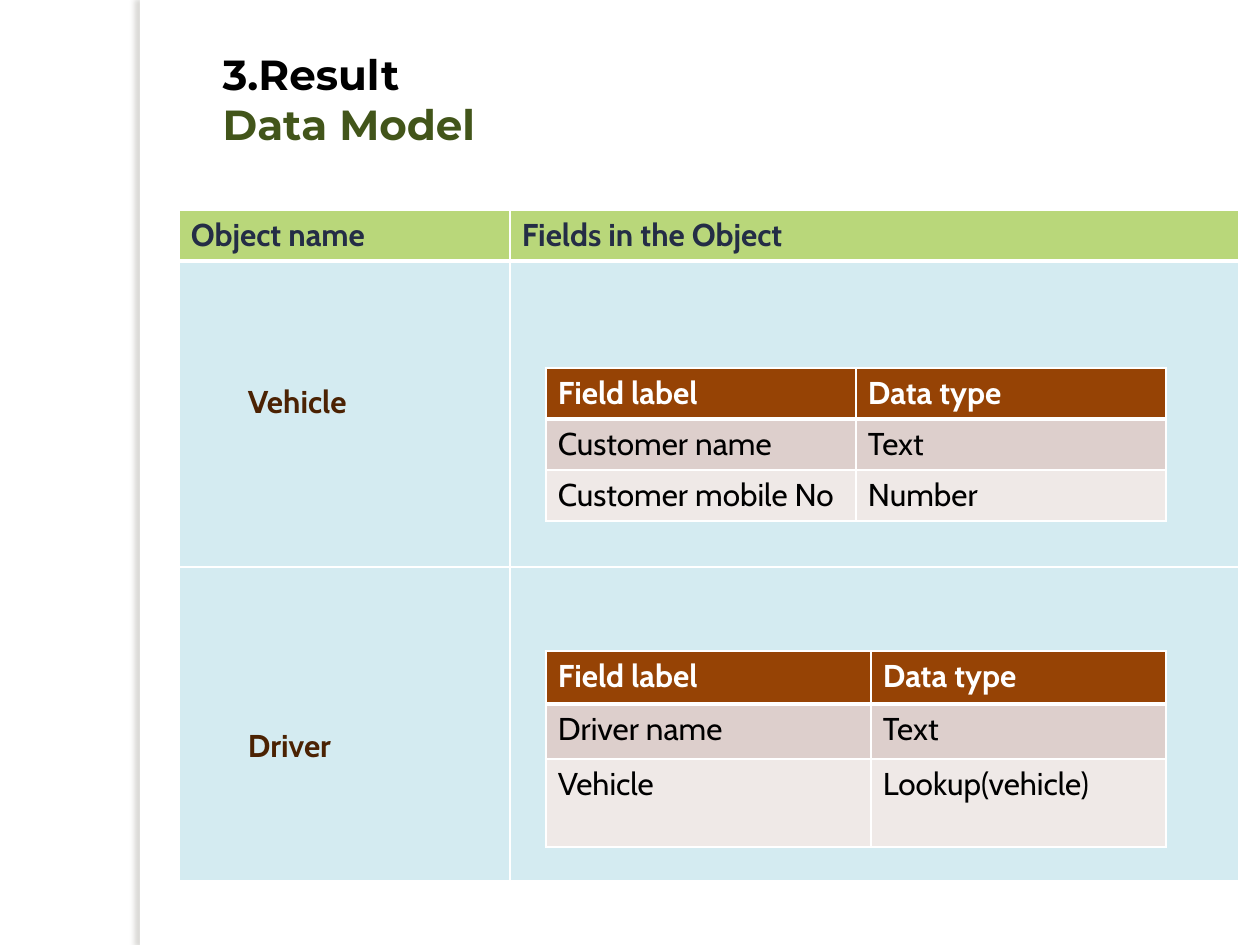
from dataclasses import dataclass

from lxml import etree
from pptx import Presentation
from pptx import util as u
from pptx.dml.color import RGBColor
from pptx.enum import shapes, text
from pptx.oxml import ns

PX = 914400 / 126
WHITE = RGBColor(0xFF, 0xFF, 0xFF)
BLACK = RGBColor(0, 0, 0)
GREEN = RGBColor(0xB9, 0xD7, 0x7A)
DARK_GREEN = RGBColor(0x42, 0x55, 0x1A)
NAVY = RGBColor(0x24, 0x2D, 0x46)
PALE_BLUE = RGBColor(0xD4, 0xEB, 0xF1)
DARK_BROWN = RGBColor(0x4B, 0x22, 0x03)
BROWN = RGBColor(0x96, 0x43, 0x05)
ROSE = RGBColor(0xDD, 0xCF, 0xCC)
PALE_ROSE = RGBColor(0xEF, 0xE9, 0xE7)
SHADOW = RGBColor(0x73, 0x6F, 0x63)


@dataclass
class Row:
    height: int
    cells: tuple[str, str]
    fill: RGBColor
    color: RGBColor
    bold: bool = False
    left: int = 12
    top: int = 6


@dataclass
class Grid:
    left: int
    top: int
    widths: tuple[int, int]
    rows: list[Row]


def px(value: int) -> u.Emu:
    return u.Emu(round(value * PX))


def write(para, words: str, *, font: str, size: int, color: RGBColor, bold: bool = False) -> None:
    span = para.add_run()
    span.text = words
    span.font.name = font
    span.font.size = u.Pt(size)
    span.font.bold = bold
    span.font.color.rgb = color


def add_borders(cell, top: int, bottom: int) -> None:
    properties = cell._tc.get_or_add_tcPr()
    sides = {"lnL": 1, "lnR": 1, "lnT": top, "lnB": bottom}
    for index, (side, points) in enumerate(sides.items()):
        line = etree.Element(ns.qn(f"a:{side}"), w=str(u.Pt(points)))
        fill = etree.SubElement(line, ns.qn("a:solidFill"))
        etree.SubElement(fill, ns.qn("a:srgbClr"), val=str(WHITE))
        properties.insert(index, line)


def add_grid(page, grid: Grid) -> None:
    height = sum(row.height for row in grid.rows)
    table = page.shapes.add_table(
        len(grid.rows), len(grid.widths), px(grid.left), px(grid.top), px(sum(grid.widths)), px(height)
    ).table
    table.horz_banding = False
    for column, width in zip(table.columns, grid.widths):
        column.width = px(width)
    for index, row in enumerate(grid.rows):
        table.rows[index].height = px(row.height)
        for cell, words in zip(table.rows[index].cells, row.cells):
            cell.fill.solid()
            cell.fill.fore_color.rgb = row.fill
            add_borders(cell, 3 if index == 1 else 1, 3 if index == 0 else 1)
            if words:
                cell.margin_left, cell.margin_top = px(row.left), px(row.top)
                write(cell.text_frame.paragraphs[0], words, font="Cabin", size=18,
                      color=row.color, bold=row.bold)


def add_side_bar(page) -> None:
    bar = page.shapes.add_shape(shapes.MSO_SHAPE.RECTANGLE, px(140), 0, px(10), px(945))
    bar.fill.solid()
    bar.fill.fore_color.rgb = WHITE
    bar.line.fill.background()
    bar.shadow.inherit = False
    effects = bar._element.spPr.find(ns.qn("a:effectLst"))
    shadow = etree.SubElement(effects, ns.qn("a:outerShdw"), blurRad=str(u.Pt(3)),
                              dist=str(u.Pt(3)), dir="10800000", algn="ctr", rotWithShape="0")
    color = etree.SubElement(shadow, ns.qn("a:srgbClr"), val=str(SHADOW))
    etree.SubElement(color, ns.qn("a:alpha"), val="25000")


def add_title(page) -> None:
    title = page.shapes.title
    title.left, title.top, title.width, title.height = px(210), px(42), px(882), px(115)
    box = title.text_frame
    box.word_wrap = True
    box.auto_size = text.MSO_AUTO_SIZE.SHAPE_TO_FIT_TEXT
    box.vertical_anchor = text.MSO_ANCHOR.TOP
    for index, (words, color) in enumerate([("3.Result", BLACK), ("Data Model", DARK_GREEN)]):
        para = box.add_paragraph() if index else box.paragraphs[0]
        para.alignment = text.PP_ALIGN.LEFT
        write(para, words, font="Montserrat", size=24, color=color, bold=True)


def field_grid(top: int, widths: tuple[int, int], heights: tuple[int, int, int],
               fields: list[tuple[str, str]]) -> Grid:
    header = Row(heights[0], ("Field label", "Data type"), BROWN, WHITE, bold=True)
    body = [Row(height, field, fill, BLACK)
            for height, field, fill in zip(heights[1:], fields, (ROSE, PALE_ROSE))]
    return Grid(546, top, widths, [header, *body])


def main() -> None:
    deck = Presentation()
    deck.slide_width, deck.slide_height = px(1260), px(945)
    page = deck.slides.add_slide(deck.slide_layouts[5])
    add_side_bar(page)
    add_title(page)
    grids = [
        Grid(179, 210, (331, 729), [
            Row(51, ("Object name", "Fields in the Object"), GREEN, NAVY, bold=True),
            Row(306, ("Vehicle", ""), PALE_BLUE, DARK_BROWN, bold=True, left=69, top=122),
            Row(314, ("Driver", ""), PALE_BLUE, DARK_BROWN, bold=True, left=69, top=160),
        ]),
        field_grid(368, (310, 310), (51, 51, 51),
                   [("Customer name", "Text"), ("Customer mobile No", "Number")]),
        field_grid(651, (325, 295), (53, 55, 88),
                   [("Driver name", "Text"), ("Vehicle", "Lookup(vehicle)")]),
    ]
    for grid in grids:
        add_grid(page, grid)
    deck.save("out.pptx")


if __name__ == "__main__":
    main()
